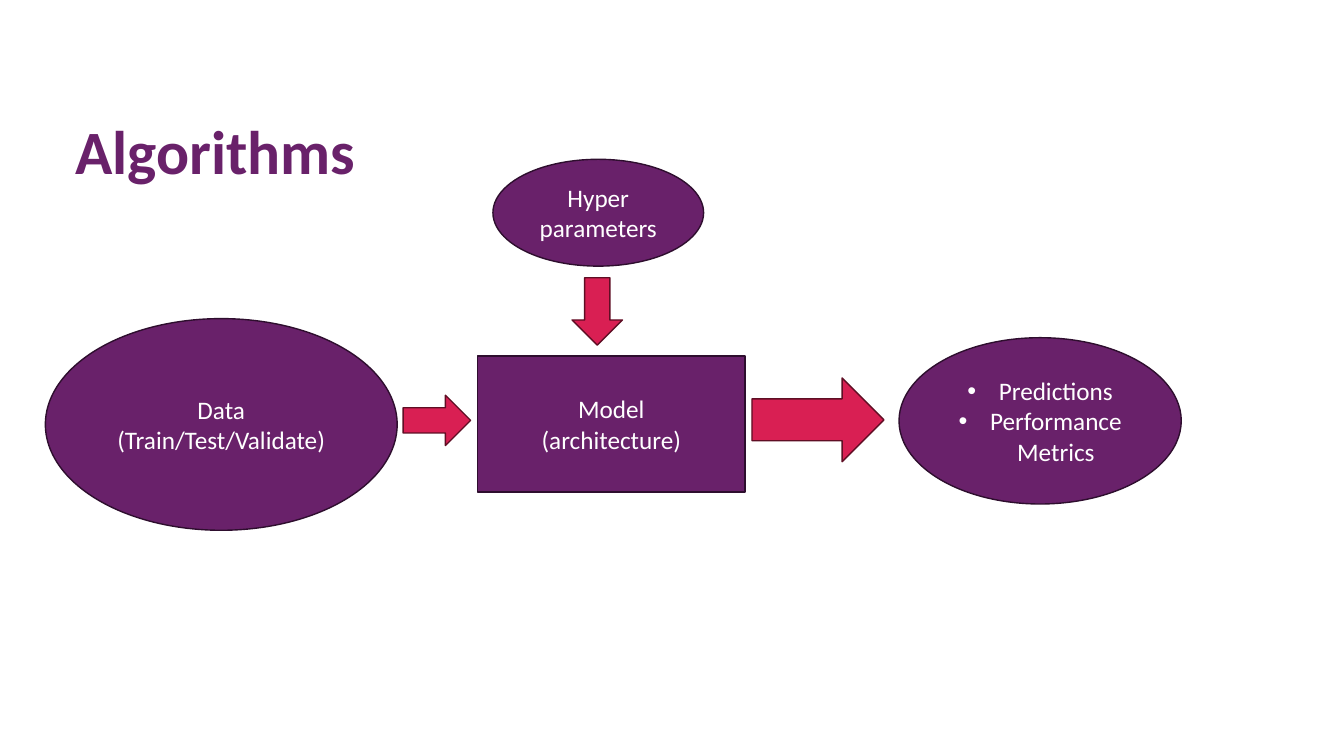
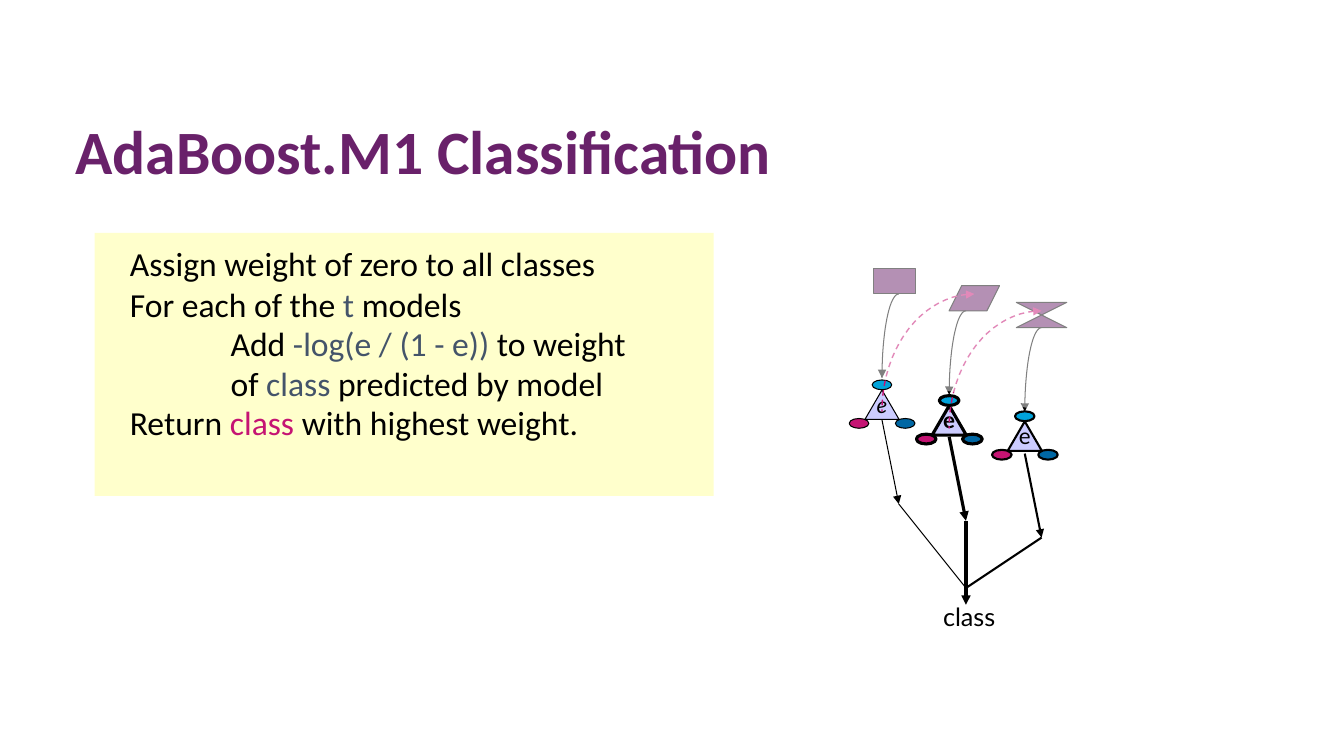
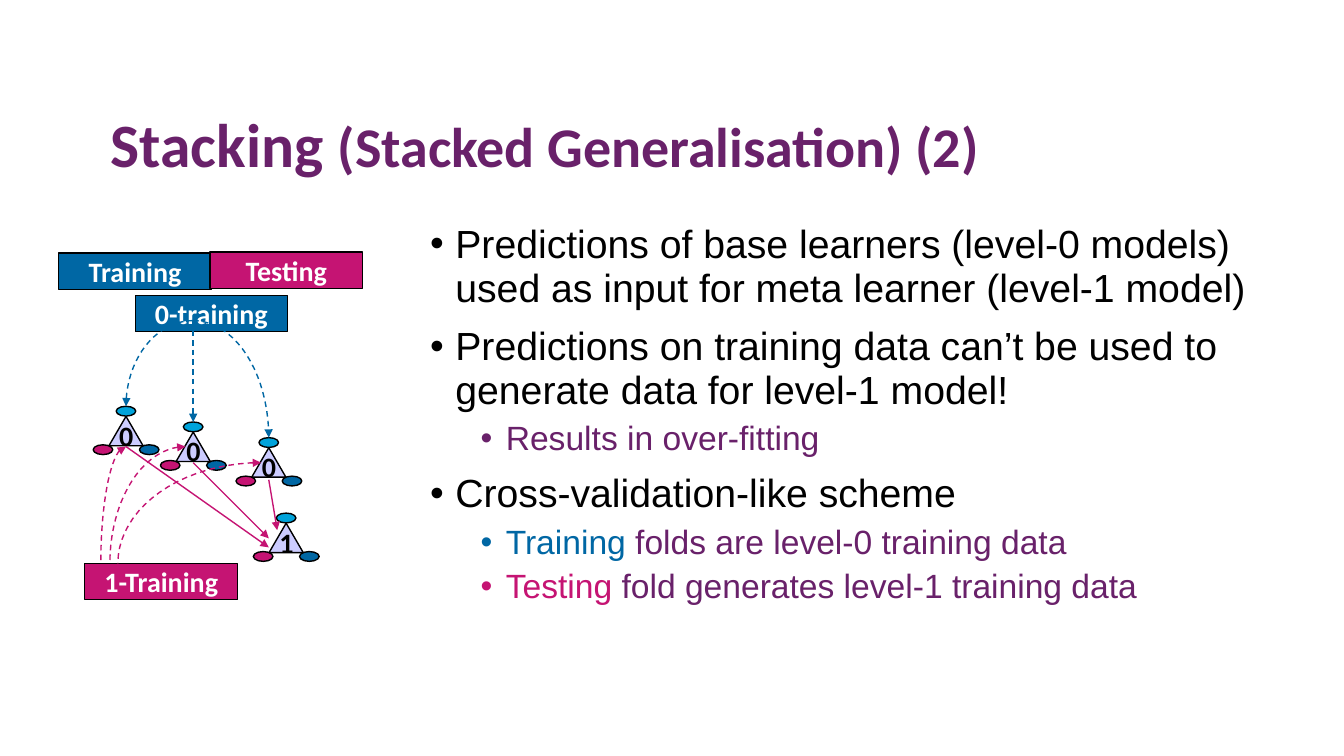
from math import cos, pi, sin

from lxml import etree
from pptx import Presentation
from pptx.dml.color import RGBColor
from pptx.enum.dml import MSO_LINE
from pptx.enum.shapes import MSO_CONNECTOR, MSO_SHAPE
from pptx.enum.text import MSO_ANCHOR, PP_ALIGN
from pptx.oxml.ns import qn
from pptx.util import Pt

COLOURS = {
    "purple": "69216A", "purple_edge": "2E0E2E", "red": "D91F53", "red_edge": "5F0E24",
    "pink": "C51473", "blue": "0067A4", "cyan": "00A3DA", "lilac": "CCCCFF",
    "cream": "FFFFCC", "slate": "44546A", "black": "000000", "white": "FFFFFF",
}
RECT, OVAL, TRIANGLE = MSO_SHAPE.RECTANGLE, MSO_SHAPE.OVAL, MSO_SHAPE.ISOSCELES_TRIANGLE
SLANTED, COLLATE = MSO_SHAPE.PARALLELOGRAM, MSO_SHAPE.FLOWCHART_COLLATE
BLOCK_ARROW, STRAIGHT = MSO_SHAPE.RIGHT_ARROW, MSO_CONNECTOR.STRAIGHT
TOP, MIDDLE = MSO_ANCHOR.TOP, MSO_ANCHOR.MIDDLE
LEFT, CENTER = PP_ALIGN.LEFT, PP_ALIGN.CENTER
DASH = MSO_LINE.DASH

TITLE = {"name": "Calibri", "size": 44, "bold": True, "color": "purple"}
FLOW = {"name": "Calibri", "size": 18, "color": "white"}
DATA = {"name": "Calibri", "size": 20, "bold": True, "color": "white"}
DIGIT = DATA | {"color": "black"}
ERROR = {"name": "Lato", "size": 16, "color": "black"}
CODE = {"name": "Calibri", "size": 24, "color": "black"}
POINT = {"name": "Arial", "size": 28, "color": "black"}
SUBPOINT = POINT | {"size": 24, "color": "purple"}

LEARNER_STEPS = (0, 48, 102)  # horizontal offsets of the three base learners
LEARNER_DROP = 11.2


def rgb(name):
    return RGBColor.from_string(COLOURS[name])


def style_font(font, style):
    for key, value in style.items():
        if key == "color":
            font.color.rgb = rgb(value)
        else:
            setattr(font, key, Pt(value) if key == "size" else value)


def style_line(shape, color, width, dash=None, head=False, tail=False):
    shape.line.color.rgb = rgb(color)
    shape.line.width = Pt(width)
    if dash:
        shape.line.dash_style = dash
    outline = shape.element.spPr.find(qn("a:ln"))
    for end, wanted in (("a:headEnd", head), ("a:tailEnd", tail)):
        if wanted:
            etree.SubElement(outline, qn(end), type="triangle")


def write(shape, paragraphs, style, anchor=MIDDLE, align=CENTER, wrap=True):
    """Each paragraph is a string or a dict with runs as (text, style changes) and layout."""
    frame = shape.text_frame
    frame.word_wrap, frame.vertical_anchor = wrap, anchor
    for i, content in enumerate(paragraphs):
        if isinstance(content, str):
            content = {"runs": [(content, {})]}
        paragraph = frame.paragraphs[0] if i == 0 else frame.add_paragraph()
        paragraph.alignment = align
        for key in ("line_spacing", "space_before"):
            if key in content:
                setattr(paragraph, key, content[key])
        margin, hang = content.get("margin", 0), content.get("hang", 0)
        properties = paragraph._p.get_or_add_pPr()
        properties.set("marL", str(Pt(margin)))
        properties.set("indent", str(-Pt(hang)))
        if hang:
            etree.SubElement(properties, qn("a:buFont"), typeface="Arial")
            etree.SubElement(properties, qn("a:buChar"), char="•")
        for text, changes in content["runs"]:
            run = paragraph.add_run()
            run.text = text
            style_font(run.font, content.get("style", style) | changes)


def add_shape(slide, kind, box, fill, edge="black", weight=0.75):
    shape = slide.shapes.add_shape(kind, *map(Pt, box))
    shape.shadow.inherit = False
    shape.fill.solid()
    shape.fill.fore_color.rgb = rgb(fill)
    if edge:
        style_line(shape, edge, weight)
    else:
        shape.line.fill.background()
    return shape


def add_text(slide, box, paragraphs, style, **layout):
    area = slide.shapes.add_textbox(*map(Pt, box))
    write(area, paragraphs, style, **layout)


def add_line(slide, start, end, color="black", width=0.75, **ends):
    line = slide.shapes.add_connector(STRAIGHT, *map(Pt, (*start, *end)))
    style_line(line, color, width, **ends)
    etree.SubElement(line.element.spPr, qn("a:effectLst"))


def add_outline(slide, points, close):
    points = [(Pt(x), Pt(y)) for x, y in points]
    builder = slide.shapes.build_freeform(*points[0])
    builder.add_line_segments(points[1:], close=close)
    outline = builder.convert_to_shape()
    outline.shadow.inherit = False
    return outline


def add_curve(slide, start, end, color="black", width=0.75, **ends):
    """Quarter ellipse that leaves start sideways and reaches end vertically."""
    (x0, y0), (x1, y1) = start, end
    angles = [pi / 2 * i / 20 for i in range(21)]
    points = [(x0 + (x1 - x0) * sin(a), y0 + (y1 - y0) * (1 - cos(a))) for a in angles]
    curve = add_outline(slide, points, close=False)
    curve.fill.background()
    style_line(curve, color, width, **ends)


def add_title(slide, runs, box=(46.8, 80.6, 828, 59.8), anchor=MIDDLE):
    add_text(slide, box, [{"runs": runs, "line_spacing": 0.9}], TITLE, anchor=anchor, align=LEFT)


def add_learner(slide, center, top, label, style, weight, label_drop):
    add_shape(slide, TRIANGLE, (center - 12.2, top + 7.2, 24.4, 21), "lilac", weight=weight)
    for dx, dy, color in ((-23.4, 27.5, "pink"), (-7, 0, "cyan"), (9.6, 27.5, "blue")):
        add_shape(slide, OVAL, (center + dx, top + dy, 14, 7), color, weight=weight)
    add_text(slide, (center - 12, top + label_drop, 24, 27), [label], style,
             anchor=TOP, wrap=False)


def add_flow(slide, left, top):
    bullet = {"margin": 22.5, "hang": 22.5}
    results = [{"runs": [(text, {})], **bullet} for text in ("Predictions", "Performance Metrics")]
    steps = [
        (RECT, (308.9, 140.4, 190.8, 97.2), ["Model", "(architecture)"]),
        (OVAL, (0, 113.8, 251.3, 151.2), ["Data", "(Train/Test/Validate)"]),
        (OVAL, (319.7, 0, 150.5, 76.3), ["Hyper parameters"]),
        (OVAL, (609.8, 127.4, 201.6, 118.8), results),
    ]
    for kind, (x, y, width, height), words in steps:
        step = add_shape(slide, kind, (left + x, top + y, width, height),
                         "purple", "purple_edge", 1)
        write(step, words, FLOW)
    arrows = [((255.6, 168.5, 48.2, 36), 0), ((504.7, 156.2, 94.3, 59.8), 0),
              ((370.1, 90.7, 48.2, 36), 90)]
    for (x, y, width, height), turn in arrows:
        arrow = add_shape(slide, BLOCK_ARROW, (left + x, top + y, width, height),
                          "red", "red_edge", 1)
        arrow.rotation = turn


def add_pseudocode(slide, box):
    slate, pink = {"color": "slate"}, {"color": "pink"}
    lines = [
        (18, [("Assign weight of zero to all classes", {})]),
        (18, [("For each of the ", {}), ("t ", slate), ("models", {})]),
        (90, [("Add ", {}), ("-log(e / (1 - e))", slate), (" to weight", {})]),
        (90, [("of ", {}), ("class", slate), (" predicted by model", {})]),
        (18, [("Return ", {}), ("class", pink), (" with highest weight.", {})]),
    ]
    gaps = (0, 3.6, 2.2, 2.2, 2.2)
    panel = add_shape(slide, RECT, box, "cream", edge=None)
    panel.text_frame.margin_top = Pt(10.3)
    write(panel, [{"runs": runs, "margin": margin, "line_spacing": 0.9, "space_before": Pt(gap)}
                  for (margin, runs), gap in zip(lines, gaps)], CODE, anchor=TOP, align=LEFT)


def add_boosting(slide, left, top):
    centers = [left + 24 + step for step in LEARNER_STEPS]
    weights = (0.75, 2.25, 1.5)
    samples = ((RECT, 18.2, 30), (SLANTED, 72, 36), (COLLATE, 120, 36))
    emphases = ({"italic": True}, {"bold": True}, {})
    for i, (center, weight, emphasis) in enumerate(zip(centers, weights, emphases)):
        kind, x, width = samples[i]
        drop = top + 12 * i
        sample = add_shape(slide, kind, (left + x, drop + 12, width, 18), "purple")
        if kind == SLANTED:
            sample.adjustments[0] = 0.5
        add_curve(slide, (center + 12, drop + 30), (center, drop + 90), tail=True)
        add_learner(slide, center, top + 91.4 + LEARNER_DROP * i, "e",
                    ERROR | emphasis, weight, 4.2)
    for i, center in enumerate(centers[:2]):
        add_curve(slide, (center + 66, top + 30 + 12 * i), (center, top + 114 + 12 * i),
                  "pink", 1, dash=DASH, head=True)

    votes = [(center + 12, top + 180 + 12 * i) for i, center in enumerate(centers)]
    vote_sum = (votes[1][0], top + 240)
    for center, (x, y), weight in zip(centers, votes, weights):
        add_line(slide, (center, y - 60), (x, y), width=weight, tail=True)
    add_line(slide, votes[1], (vote_sum[0], top + 252), width=weights[1], tail=True)
    for i in (0, 2):
        add_line(slide, votes[i], vote_sum, width=weights[i])
    add_text(slide, (left + 60, top + 246.2, 52.6, 28.8), ["class"], ERROR | {"size": 18},
             anchor=TOP, wrap=False)

    corners = [(0, 0), (168, 0), (168, 120), (0, 84)]
    veil = add_outline(slide, [(left + x, top + y) for x, y in corners], close=True)
    veil.fill.solid()
    veil.fill.fore_color.rgb = rgb("white")
    veil.line.fill.background()
    tint = veil.element.spPr.find(qn("a:solidFill"))[0]
    etree.SubElement(tint, qn("a:alpha"), val="50000")


def add_stacking(slide, left, top):
    def at(x, y):
        return left + x, top + y

    def add_data(words, x, y, color):
        box = add_shape(slide, RECT, (*at(x, y), 109, 26), color)
        write(box, [words], DATA, wrap=False)

    add_data("0-training", 54.5, 31, "blue")
    learners = [(48 + step, 110.2 + LEARNER_DROP * i, "0") for i, step in enumerate(LEARNER_STEPS)]
    for x, y, level in learners + [(162.4, 186.5, "1")]:
        add_learner(slide, *at(x, y), level, DIGIT, 1, 5)

    source = at(96, 49)
    for draw, (x, y, _) in zip((add_curve, add_line, add_curve), learners):
        draw(slide, source, at(x, y), "blue", 1, dash=DASH, tail=True)
    add_data("Training", 0, 0.7, "blue")
    add_data("Testing", 108, 0, "pink")
    add_data("1-Training", 18.7, 222.5, "pink")

    for target, x in (((144.5, 150.5), 42.2), ((90.5, 139), 36.5), ((48, 139), 30)):
        add_curve(slide, at(*target), at(x, 222.5), "pink", 1, dash=DASH, head=True)
    for (x, _, _), y, end in zip(learners, (139, 150.5, 162.7),
                                 ((150, 211), (150, 204.5), (156, 198.7))):
        add_line(slide, at(x, y), at(*end), "pink", 1, tail=True)


def add_points(slide, box):
    points = [
        (0, [("Predictions of base learners (level-0 models) used as input for "
              "meta learner (level-1 model)", {})]),
        (0, [("Predictions on training data can’t be used to generate data for "
              "level-1 model!", {})]),
        (1, [("Results in over-fitting", {})]),
        (0, [("Cross-validation-like scheme", {})]),
        (1, [("Training", {"color": "blue"}), (" folds are level-0 training data", {})]),
        (1, [("Testing", {"color": "pink"}), (" fold generates level-1 training data", {})]),
    ]
    levels = ({"style": POINT, "margin": 18, "space_before": Pt(10)},
              {"style": SUBPOINT, "margin": 54, "space_before": Pt(5)})
    add_text(slide, box, [{"runs": runs, "hang": 18, "line_spacing": 0.94, **levels[level]}
                          for level, runs in points], POINT, anchor=TOP, align=LEFT)


def main():
    deck = Presentation()
    deck.slide_width, deck.slide_height = Pt(960), Pt(540)
    flow, boosting, stacking = (deck.slides.add_slide(deck.slide_layouts[6]) for _ in range(3))

    add_title(flow, [("Algorithms", {})])
    add_flow(flow, 32.4, 113.8)

    add_boosting(boosting, 606, 180)
    add_pseudocode(boosting, (67.7, 166.3, 442.1, 187.9))
    add_title(boosting, [("AdaBoost.M1 Classification", {})])

    add_stacking(stacking, 42, 180)
    add_points(stacking, (300.2, 155.5, 644.4, 324))
    add_title(stacking, [("Stacking ", {}), ("(Stacked Generalisation) (2)", {"size": 40})],
              (72, 77.8, 852.5, 115.2), TOP)
    deck.save("out.pptx")


if __name__ == "__main__":
    main()
